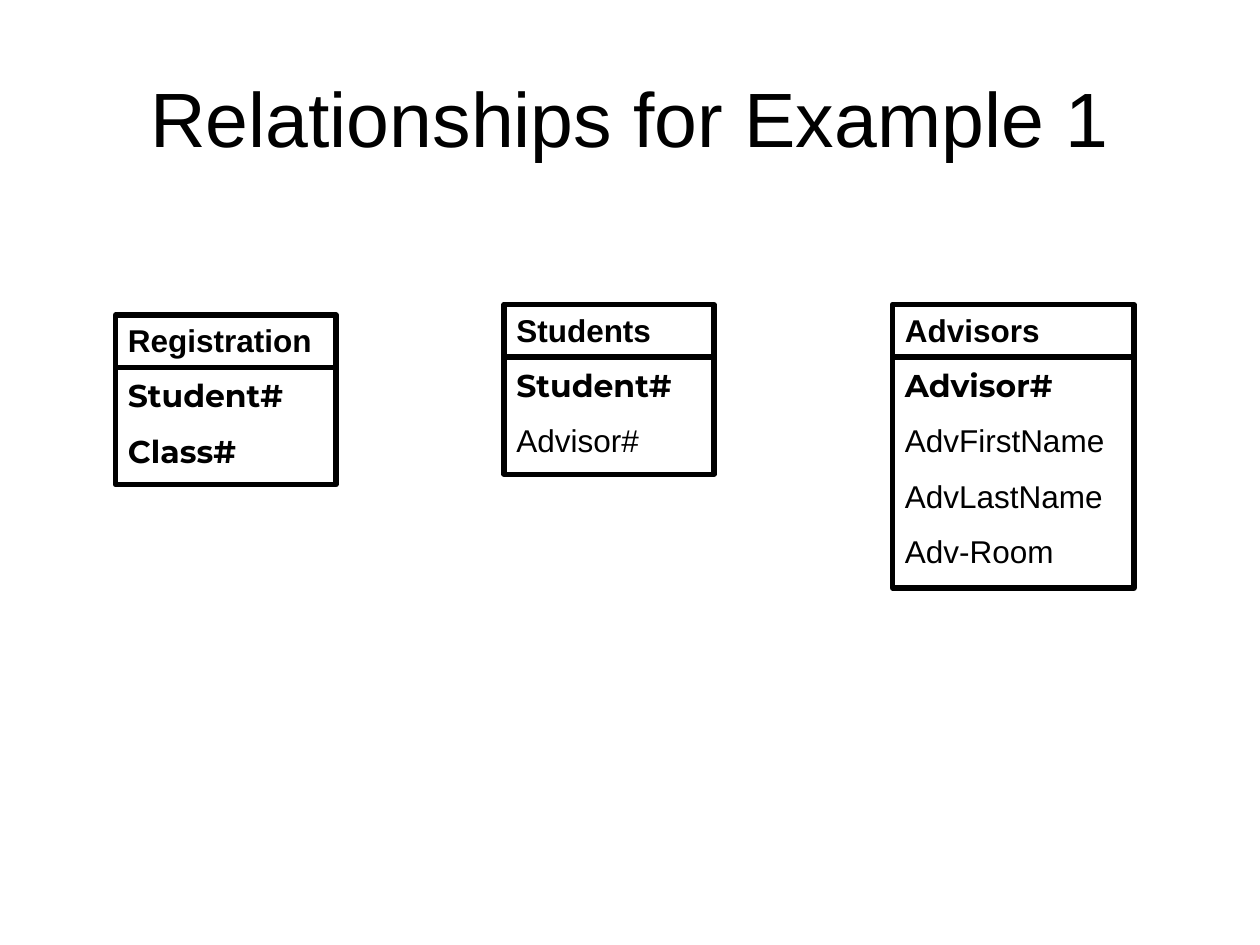
from lxml import etree
from pptx import Presentation
from pptx.dml.color import RGBColor
from pptx.enum.shapes import MSO_CONNECTOR, MSO_SHAPE
from pptx.enum.text import MSO_ANCHOR, MSO_AUTO_SIZE, PP_ALIGN
from pptx.oxml.ns import qn
from pptx.util import Pt

RECTANGLE = MSO_SHAPE.RECTANGLE
STRAIGHT = MSO_CONNECTOR.STRAIGHT
TOP, MIDDLE = MSO_ANCHOR.TOP, MSO_ANCHOR.MIDDLE
LEFT, CENTER = PP_ALIGN.LEFT, PP_ALIGN.CENTER
NO_AUTO_SIZE = MSO_AUTO_SIZE.NONE

COLORS = {"ink": "000000"}
INK = RGBColor.from_string(COLORS["ink"])
HEADER_HEIGHT = 30

TITLE = {"name": "Arial", "size": Pt(44), "bold": False}
HEADING = {"name": "Arial", "size": Pt(18), "bold": True}
KEY = {"name": "Montserrat", "size": Pt(18), "bold": True}
FIELD = {"name": "Arial", "size": Pt(18), "bold": False}

ENTITIES = [
    (66, 180, 126, 97, [("Registration", HEADING), ("Student#", KEY), ("Class#", KEY)]),
    (288, 174, 120, 97, [("Students", HEADING), ("Student#", KEY), ("Advisor#", FIELD)]),
    (510, 174, 138, 162, [("Advisors", HEADING), ("Advisor#", KEY), ("AdvFirstName", FIELD),
                          ("AdvLastName", FIELD), ("Adv-Room", FIELD)]),
]


def write(paragraph, text, style, alignment):
    run = paragraph.add_run()
    run.text = text
    paragraph.alignment = alignment
    for name, value in style.items():
        setattr(run.font, name, value)
    run.font.color.rgb = INK


def draw_line(line):
    line.color.rgb = INK
    line.width = Pt(3)


presentation = Presentation()
presentation.slide_width, presentation.slide_height = Pt(720), Pt(540)
slide = presentation.slides.add_slide(presentation.slide_layouts[5])

title = slide.shapes.title
title.left, title.top, title.width, title.height = Pt(36), Pt(21.6), Pt(648), Pt(90)
title.text_frame.vertical_anchor = MIDDLE
write(title.text_frame.paragraphs[0], "Relationships for Example 1", TITLE, CENTER)

for left, top, width, height, rows in ENTITIES:
    entity = slide.shapes.add_group_shape()
    box = entity.shapes.add_shape(RECTANGLE, Pt(left), Pt(top), Pt(width), Pt(height))
    box.shadow.inherit = False
    box.fill.background()
    draw_line(box.line)

    frame = box.text_frame
    frame.word_wrap = True
    frame.auto_size = NO_AUTO_SIZE
    frame.vertical_anchor = TOP
    for index, (text, style) in enumerate(rows):
        paragraph = frame.add_paragraph() if index else frame.paragraphs[0]
        if index:
            paragraph.space_before = Pt(10)
        write(paragraph, text, style, LEFT)

    divider_top = Pt(top + HEADER_HEIGHT)
    divider = entity.shapes.add_connector(
        STRAIGHT, Pt(left), divider_top, Pt(left + width), divider_top)
    draw_line(divider.line)
    etree.SubElement(divider._element.spPr, qn("a:effectLst"))

presentation.save("out.pptx")
